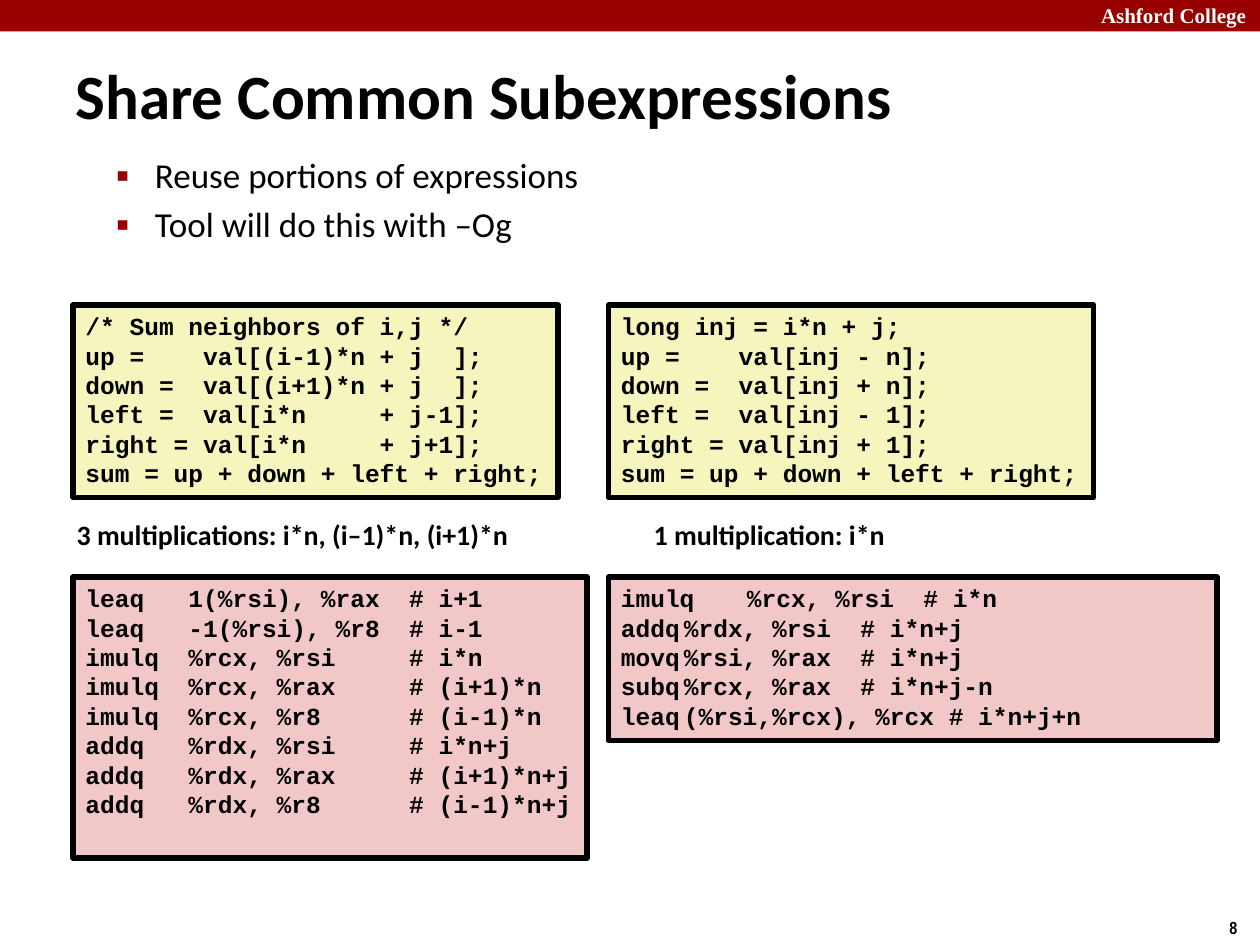
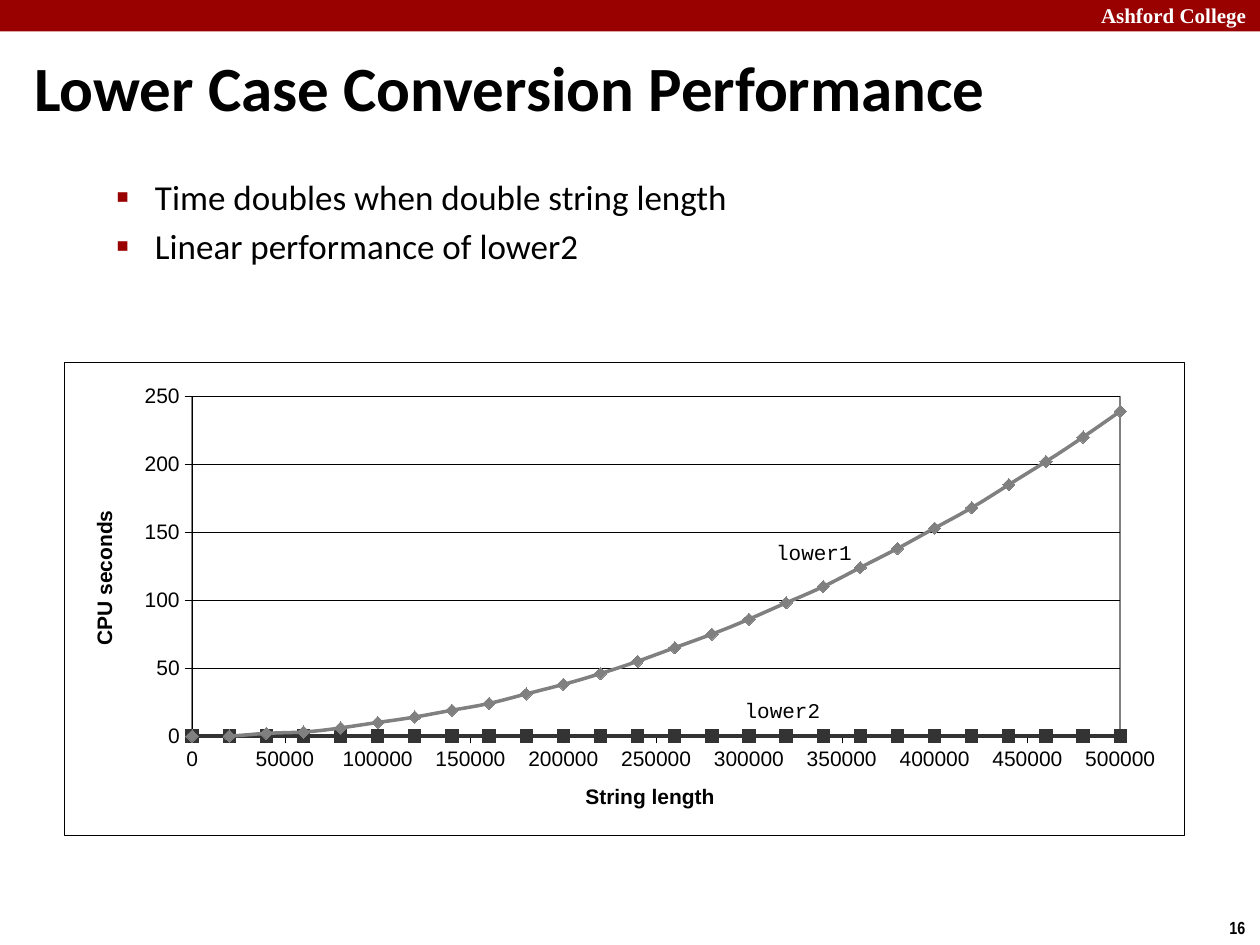
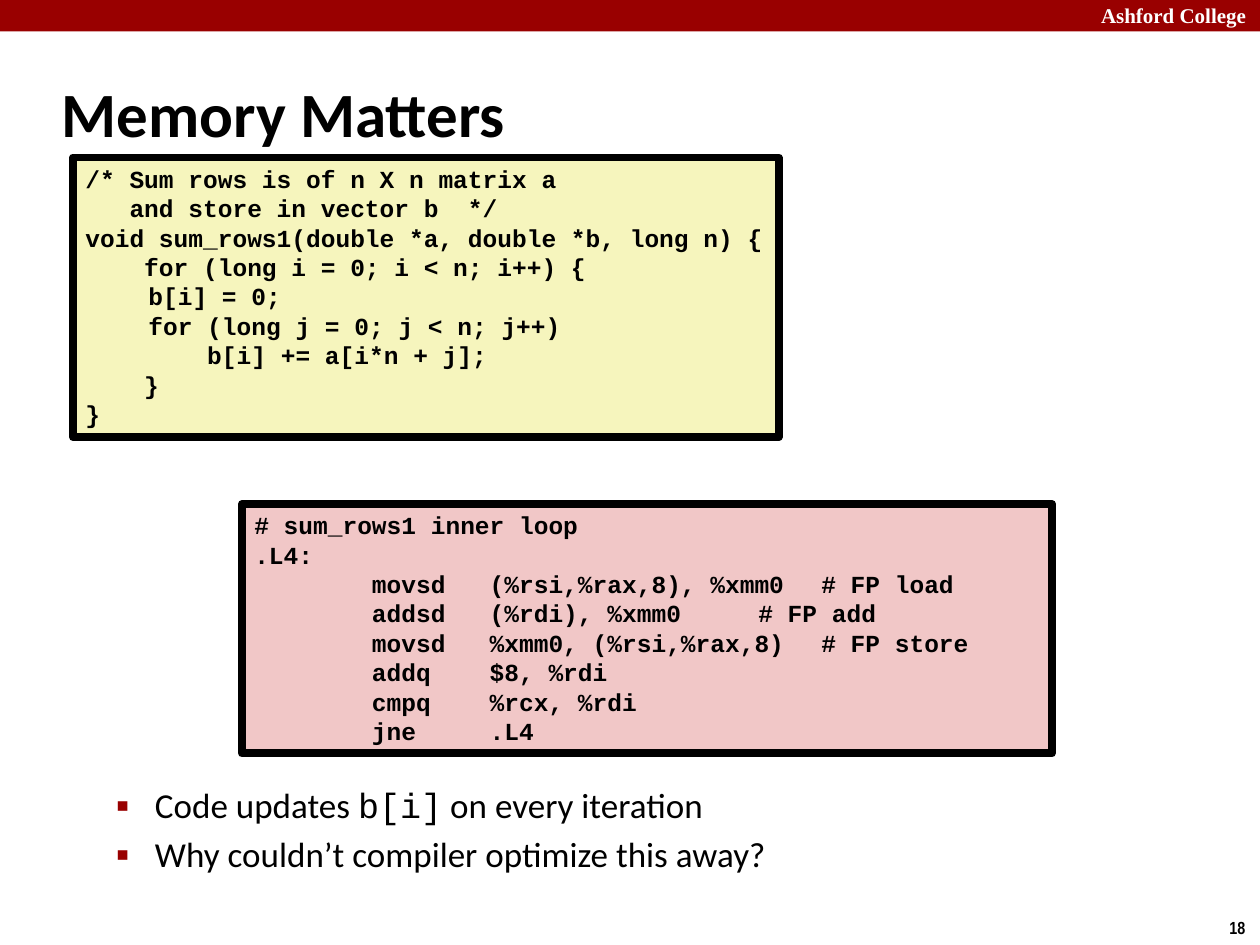
"""Build three lecture slides on code optimization, with code listings and a timing chart."""
from dataclasses import dataclass

from lxml.etree import SubElement
from pptx import Presentation
from pptx.chart.data import XyChartData
from pptx.dml.color import RGBColor
from pptx.enum.chart import XL_CHART_TYPE, XL_MARKER_STYLE, XL_TICK_MARK
from pptx.enum.shapes import MSO_SHAPE
from pptx.enum.text import MSO_ANCHOR, MSO_AUTO_SIZE, PP_ALIGN
from pptx.oxml import parse_xml
from pptx.oxml.ns import nsdecls, qn
from pptx.util import Inches, Pt


@dataclass(frozen=True)
class Theme:
    red: str = "990000"
    black: str = "000000"
    white: str = "FFFFFF"
    source: str = "F6F5BD"
    assembly: str = "F1C7C7"
    gray: str = "808080"
    dark: str = "333333"
    sans: str = "Calibri"
    mono: str = "Courier New"
    serif: str = "Times New Roman"
    narrow: str = "Arial Narrow"
    plain: str = "Arial"
    title_size: int = 36
    body_size: int = 20
    label_size: int = 16
    code_size: int = 14
    small_size: int = 12
    number_size: int = 10


THEME = Theme()
HEADER = "Ashford College"
BODY_LEFT, BODY_WIDTH = 0.32, 9.09
LEFT_COLUMN, RIGHT_COLUMN = 0.58, 4.83

SUM_NEIGHBORS = """/* Sum neighbors of i,j */
up =    val[(i-1)*n + j  ];
down =  val[(i+1)*n + j  ];
left =  val[i*n     + j-1];
right = val[i*n     + j+1];
sum = up + down + left + right;"""

SUM_SHARED = """long inj = i*n + j;
up =    val[inj - n];
down =  val[inj + n];
left =  val[inj - 1];
right = val[inj + 1];
sum = up + down + left + right;"""

NEIGHBORS_ASSEMBLY = """leaq   1(%rsi), %rax  # i+1
leaq   -1(%rsi), %r8  # i-1
imulq  %rcx, %rsi     # i*n
imulq  %rcx, %rax     # (i+1)*n
imulq  %rcx, %r8      # (i-1)*n
addq   %rdx, %rsi     # i*n+j
addq   %rdx, %rax     # (i+1)*n+j
addq   %rdx, %r8      # (i-1)*n+j"""

SHARED_ASSEMBLY = """imulq\t%rcx, %rsi  # i*n
addq\t%rdx, %rsi  # i*n+j
movq\t%rsi, %rax  # i*n+j
subq\t%rcx, %rax  # i*n+j-n
leaq\t(%rsi,%rcx), %rcx # i*n+j+n"""

SUM_ROWS = """/* Sum rows is of n X n matrix a
   and store in vector b  */
void sum_rows1(double *a, double *b, long n) {
    for (long i = 0; i < n; i++) {
\tb[i] = 0;
\tfor (long j = 0; j < n; j++)
\t    b[i] += a[i*n + j];
    }
}"""

ROWS_ASSEMBLY = """# sum_rows1 inner loop
.L4:
        movsd   (%rsi,%rax,8), %xmm0\t# FP load
        addsd   (%rdi), %xmm0\t\t# FP add
        movsd   %xmm0, (%rsi,%rax,8)\t# FP store
        addq    $8, %rdi
        cmpq    %rcx, %rdi
        jne     .L4"""

SLIDES = [
    {
        "number": 8,
        "title": ("Share Common Subexpressions", (0.5, 0.17, 9.17, 1.16)),
        "body_span": (1.17, 5.88),
        "bullets": [
            [("Reuse portions of expressions", THEME.sans)],
            [("Tool will do this with –Og", THEME.sans)],
        ],
        "listings": [
            (SUM_NEIGHBORS, (LEFT_COLUMN, 2.42, 3.85, 1.53), THEME.source, 3),
            (SUM_SHARED, (RIGHT_COLUMN, 2.42, 3.85, 1.53), THEME.source, 3),
            (NEIGHBORS_ASSEMBLY, (LEFT_COLUMN, 4.58, 4.08, 2.23), THEME.assembly, 3),
            (SHARED_ASSEMBLY, (RIGHT_COLUMN, 4.58, 4.83, 1.3), THEME.assembly, 3),
        ],
        "labels": [
            ("3 multiplications: i*n, (i–1)*n, (i+1)*n", (0.51, 4.06, 3.67, 0.37)),
            ("1 multiplication: i*n", (5.09, 4.06, 2.06, 0.37)),
        ],
    },
    {
        "number": 16,
        "title": ("Lower Case Conversion Performance", (0.17, 0.37, 9.58, 0.63)),
        "body_span": (1.34, 0.99),
        "bullets": [
            [("Time doubles when double string length", THEME.sans)],
            [("Linear performance of lower2", THEME.sans)],
        ],
        "chart": (0.51, 2.87, 8.89, 3.76),
        "series_labels": [
            ("lower1", (6.13, 4.25, 0.7, 0.24)),
            ("lower2", (5.88, 5.51, 0.7, 0.24)),
        ],
    },
    {
        "number": 18,
        "title": ("Memory Matters", (0.39, 0.48, 8.3, 0.83)),
        "body_span": (6.17, 0.88),
        "bullets": [
            [("Code updates ", THEME.sans), ("b[i]", THEME.mono),
             (" on every iteration", THEME.sans)],
            [("Why couldn’t compiler optimize this away?", THEME.sans)],
        ],
        "listings": [
            (ROWS_ASSEMBLY, (1.92, 4, 6.43, 1.98), THEME.assembly, 4.5),
            (SUM_ROWS, (LEFT_COLUMN, 1.25, 5.6, 2.22), THEME.source, 4.5),
        ],
    },
]

LENGTH_STEP = 20000
LOWER1_SECONDS = [0, 0, 2, 3, 6, 10, 14, 19, 24, 31, 38, 46, 55, 65, 75, 86, 98, 110,
                  124, 138, 153, 168, 185, 202, 220, 239]
SERIES = [
    ("lower1", LOWER1_SECONDS, THEME.gray, XL_MARKER_STYLE.DIAMOND),
    ("lower2", [0] * len(LOWER1_SECONDS), THEME.dark, XL_MARKER_STYLE.SQUARE),
]
PLOT_LAYOUT = {"x": 0.114, "y": 0.073, "w": 0.829, "h": 0.718}


def rgb(value):
    return RGBColor.from_string(value)


def inches(values):
    return [Inches(value) for value in values]


def place(shape, position):
    shape.left, shape.top, shape.width, shape.height = inches(position)


def style_font(font, size, name, color=THEME.black, bold=False):
    font.size, font.name, font.bold = Pt(size), name, bold
    font.color.rgb = rgb(color)


def add_span(para, text, size, name, color=THEME.black, bold=False):
    span = para.add_run()
    span.text = text
    style_font(span.font, size, name, color, bold)


def set_indent(para, left, hanging):
    properties = para._p.get_or_add_pPr()
    properties.set("marL", str(Inches(left)))
    properties.set("indent", str(-Inches(hanging)))
    return properties


def prepare_frame(frame):
    frame.word_wrap = True
    frame.auto_size = MSO_AUTO_SIZE.NONE


def add_label(page, text, position, size, name, color=THEME.black, bold=True):
    box = page.shapes.add_textbox(*inches(position))
    prepare_frame(box.text_frame)
    add_span(box.text_frame.paragraphs[0], text, size, name, color, bold)
    return box


def add_rectangle(page, position, fill):
    box = page.shapes.add_shape(MSO_SHAPE.RECTANGLE, *inches(position))
    box.shadow.inherit = False
    box.fill.solid()
    box.fill.fore_color.rgb = rgb(fill)
    return box


def add_listing(page, code, position, fill, border):
    box = add_rectangle(page, position, fill)
    box.line.color.rgb = rgb(THEME.black)
    box.line.width = Pt(border)
    frame = box.text_frame
    prepare_frame(frame)
    frame.vertical_anchor = MSO_ANCHOR.TOP
    for index, line in enumerate(code.splitlines()):
        para = frame.add_paragraph() if index else frame.paragraphs[0]
        para.alignment = PP_ALIGN.LEFT
        add_span(para, line, THEME.code_size, THEME.mono, bold=True)


def add_frame(page, number):
    band = add_rectangle(page, (0, 0, 10, 0.25), THEME.red)
    band.line.fill.background()
    add_label(page, HEADER, (8.64, -0.03, 1.43, 0.3), THEME.small_size, THEME.serif, THEME.white)
    add_label(page, str(number), (9.66, 7.23, 0.34, 0.27), THEME.number_size, THEME.narrow)


def fill_title(page, text, position):
    title = page.shapes.title
    place(title, position)
    prepare_frame(title.text_frame)
    title.text_frame.vertical_anchor = MSO_ANCHOR.MIDDLE
    para = title.text_frame.paragraphs[0]
    para.alignment = PP_ALIGN.LEFT
    set_indent(para, 0.13, 0.13)
    add_span(para, text, THEME.title_size, THEME.sans, bold=True)


def fill_body(page, bullets, top, height):
    body = page.placeholders[1]
    place(body, (BODY_LEFT, top, BODY_WIDTH, height))
    prepare_frame(body.text_frame)
    for index, spans in enumerate(bullets):
        para = body.text_frame.add_paragraph() if index else body.text_frame.paragraphs[0]
        para.level = 1
        properties = set_indent(para, 0.81, 0.31)
        color = SubElement(properties, qn("a:buClr"))
        SubElement(color, qn("a:srgbClr"), val=THEME.red)
        SubElement(properties, qn("a:buSzPct"), val="110000")
        SubElement(properties, qn("a:buFont"), typeface=THEME.plain)
        SubElement(properties, qn("a:buChar"), char="▪")
        for text, name in spans:
            add_span(para, text, THEME.body_size, name)


def style_axis(axis, title, maximum, unit):
    axis.minimum_scale, axis.maximum_scale, axis.major_unit = 0, maximum, unit
    axis.major_tick_mark, axis.minor_tick_mark = XL_TICK_MARK.OUTSIDE, XL_TICK_MARK.NONE
    axis.has_major_gridlines = False
    axis.format.line.color.rgb = rgb(THEME.black)
    axis.format.line.width = Pt(0.25)
    axis.tick_labels.number_format = "General"
    axis.tick_labels.number_format_is_linked = False
    style_font(axis.tick_labels.font, THEME.small_size, THEME.plain)
    para = axis.axis_title.text_frame.paragraphs[0]
    add_span(para, title, THEME.small_size, THEME.plain, bold=True)


def area_format(line_color, width):
    return parse_xml(
        f'<c:spPr {nsdecls("c", "a")}>'
        f'<a:solidFill><a:srgbClr val="{THEME.white}"/></a:solidFill>'
        f'<a:ln w="{Pt(width)}"><a:solidFill><a:srgbClr val="{line_color}"/></a:solidFill></a:ln>'
        "</c:spPr>")


def format_areas(chart):
    root = chart.element
    root.find(qn("c:txPr")).addprevious(area_format(THEME.black, 0.25))
    plot_area = root.find(".//" + qn("c:plotArea"))
    for layout in plot_area.findall(qn("c:layout")):
        plot_area.remove(layout)
    sizes = "".join(f'<c:{key} val="{value}"/>' for key, value in PLOT_LAYOUT.items())
    plot_area.insert(0, parse_xml(
        f'<c:layout {nsdecls("c")}><c:manualLayout><c:layoutTarget val="inner"/>'
        f'<c:xMode val="edge"/><c:yMode val="edge"/>{sizes}</c:manualLayout></c:layout>'))
    plot_area.append(area_format(THEME.gray, 1))
    for smooth in root.iter(qn("c:smooth")):
        smooth.set("val", "1")


def add_timing_chart(page, position):
    data = XyChartData()
    for name, seconds, _, _ in SERIES:
        series = data.add_series(name)
        for index, value in enumerate(seconds):
            series.add_data_point(index * LENGTH_STEP, value)
    chart = page.shapes.add_chart(
        XL_CHART_TYPE.XY_SCATTER_SMOOTH, *inches(position), data).chart
    chart.has_legend = chart.has_title = False
    style_font(chart.font, THEME.small_size, THEME.plain)
    chart.plots[0].vary_by_categories = False
    style_axis(chart.category_axis, "String length", 500000, 50000)
    style_axis(chart.value_axis, "CPU seconds", 250, 50)
    grid = chart.value_axis.major_gridlines.format.line
    grid.color.rgb = rgb(THEME.black)
    grid.width = Pt(0.25)
    for series, (_, _, color, marker) in zip(chart.plots[0].series, SERIES):
        series.format.line.color.rgb = rgb(color)
        series.format.line.width = Pt(2)
        series.marker.style, series.marker.size = marker, 7
        series.marker.format.fill.solid()
        series.marker.format.fill.fore_color.rgb = rgb(color)
        series.marker.format.line.color.rgb = rgb(color)
    format_areas(chart)


def add_series_label(page, text, position):
    frame = add_label(page, text, position, THEME.small_size, THEME.mono, bold=False).text_frame
    frame.margin_left = frame.margin_top = Inches(0.03)
    frame.margin_right = frame.margin_bottom = 0


def build_slide(deck, content):
    page = deck.slides.add_slide(deck.slide_layouts[1])
    add_frame(page, content["number"])
    fill_title(page, *content["title"])
    fill_body(page, content["bullets"], *content["body_span"])
    for listing in content.get("listings", []):
        add_listing(page, *listing)
    for text, position in content.get("labels", []):
        add_label(page, text, position, THEME.label_size, THEME.sans)
    if "chart" in content:
        add_timing_chart(page, content["chart"])
    for text, position in content.get("series_labels", []):
        add_series_label(page, text, position)


def main():
    deck = Presentation()
    deck.slide_width, deck.slide_height = Inches(10), Inches(7.5)
    for content in SLIDES:
        build_slide(deck, content)
    deck.save("out.pptx")


if __name__ == "__main__":
    main()
